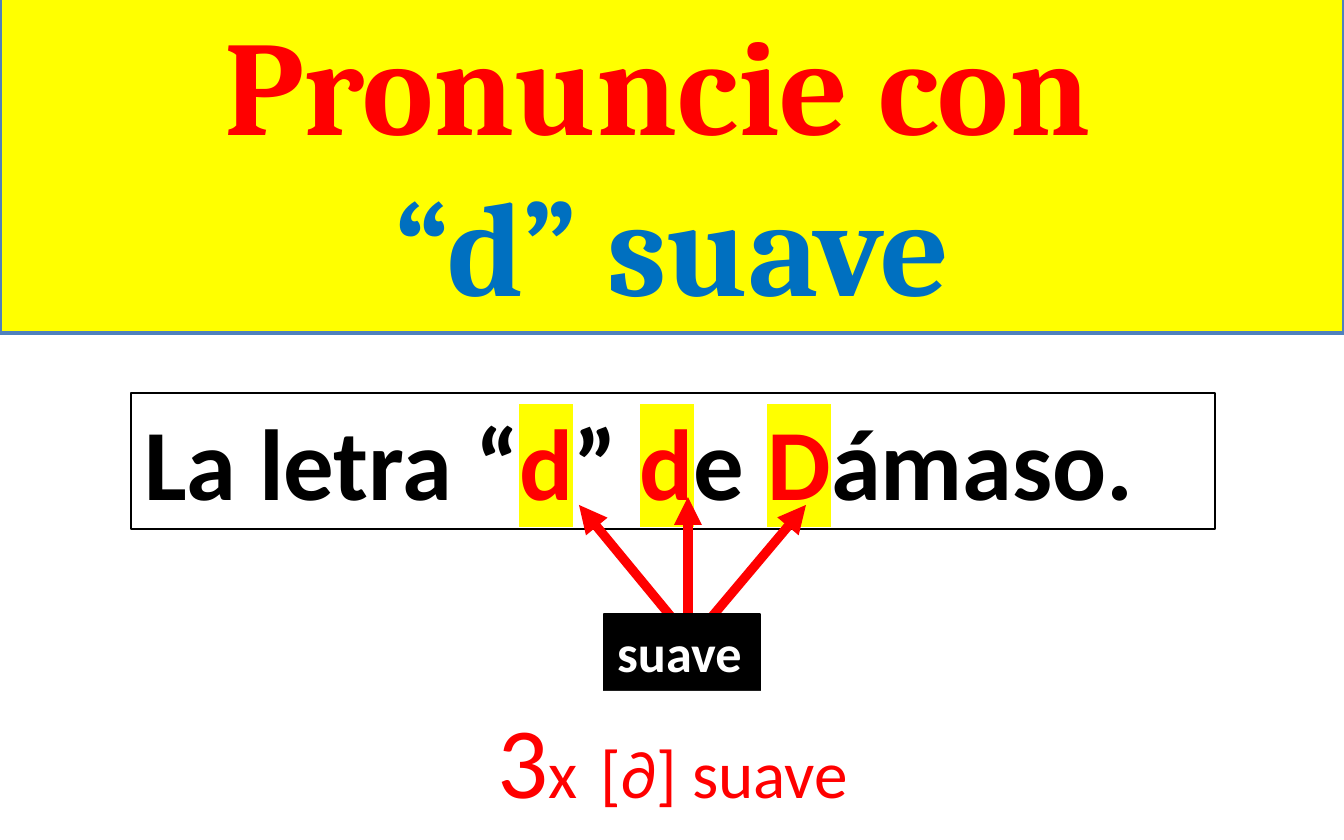
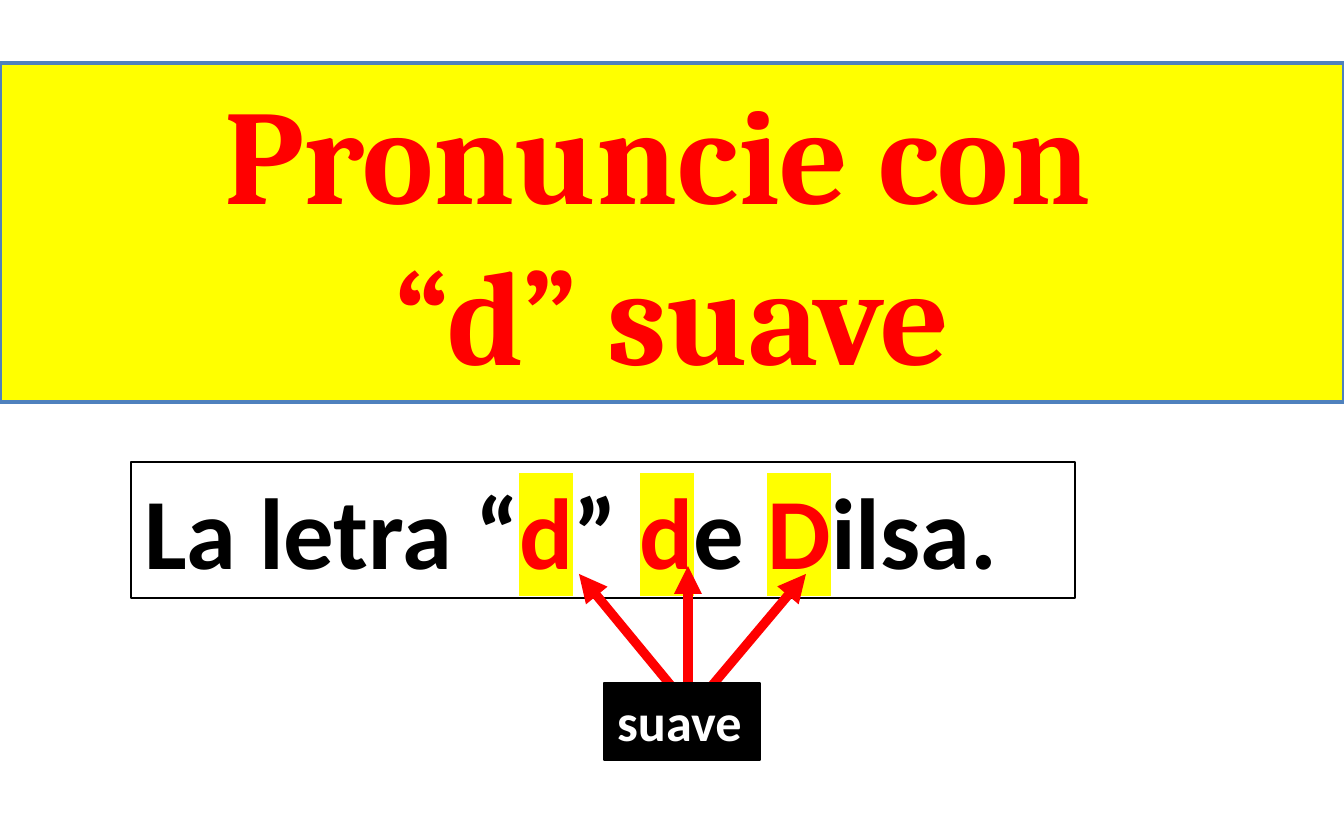
from itertools import groupby

from lxml import etree
from pptx import Presentation
from pptx import util as u
from pptx.dml.color import RGBColor
from pptx.enum import shapes, text
from pptx.oxml.ns import qn

PX = 914400 / 134.4
COLORS = {
    "yellow": "FFFF00",
    "red": "FF0000",
    "blue": "0070C0",
    "border": "4F81BD",
    "black": "000000",
    "white": "FFFFFF",
}
HEADING_FONT = "Cambria"
BODY_FONT = "Calibri"

# Arrows from the label up to each "d": x1, y1, x2, y2
ARROWS = [(673, 619, 579, 505), (688, 614, 688, 497), (710, 619, 806, 505)]


def px(n):
    return u.Emu(round(n * PX))


def rgb(name):
    return RGBColor.from_string(COLORS[name])


def add_run(p, words, size=54, color="black", font=BODY_FONT, bold=False, highlight=None):
    r = p.add_run()
    r.text = words
    r.font.size, r.font.name, r.font.bold = u.Pt(size), font, bold
    r.font.color.rgb = rgb(color)
    if highlight:
        mark = etree.Element(qn("a:highlight"))
        etree.SubElement(mark, qn("a:srgbClr"), val=COLORS[highlight])
        r.font._element.find(qn("a:solidFill")).addnext(mark)


def style_box(sp, fill=None, line=None, width=0.75):
    if fill:
        sp.fill.solid()
        sp.fill.fore_color.rgb = rgb(fill)
    if line:
        sp.line.color.rgb = rgb(line)
        sp.line.width = u.Pt(width)


def add_band(s, y, second_color):
    """Title band across the slide, in two centred lines."""
    sp = s.shapes.title
    sp.left, sp.top, sp.width, sp.height = px(0), px(y), px(1344), px(339)
    style_box(sp, "yellow", "border", 2.5)
    tf = sp.text_frame
    tf.word_wrap = True
    tf.auto_size = text.MSO_AUTO_SIZE.SHAPE_TO_FIT_TEXT
    tf.vertical_anchor = text.MSO_ANCHOR.TOP
    lines = [("Pronuncie con ", "red"), ("“d” suave", second_color)]
    for i, (words, color) in enumerate(lines):
        p = tf.add_paragraph() if i else tf.paragraphs[0]
        p.alignment = text.PP_ALIGN.CENTER
        add_run(p, words, size=72, color=color, font=HEADING_FONT, bold=True)


def add_box(s, x, y, w, h, **style):
    """Unwrapped text box; returns its paragraph."""
    sp = s.shapes.add_textbox(px(x), px(y), px(w), px(h))
    style_box(sp, **style)
    tf = sp.text_frame
    tf.word_wrap = False
    tf.auto_size = text.MSO_AUTO_SIZE.SHAPE_TO_FIT_TEXT
    return tf.paragraphs[0]


def add_sentence(s, y, w, words):
    """Framed sentence with every letter d marked."""
    p = add_box(s, 131, y, w, 136, line="black")
    for is_d, letters in groupby(words, key=lambda ch: ch in "dD"):
        mark = {"color": "red", "highlight": "yellow"} if is_d else {}
        add_run(p, "".join(letters), bold=True, **mark)


def add_arrow(s, x1, y1, x2, y2):
    c = s.shapes.add_connector(shapes.MSO_CONNECTOR.STRAIGHT, px(x1), px(y1), px(x2), px(y2))
    c.line.color.rgb = rgb("red")
    c.line.width = u.Pt(5)
    etree.SubElement(c.line._get_or_add_ln(), qn("a:tailEnd"), type="triangle")
    etree.SubElement(c._element.spPr, qn("a:effectLst"))


def add_exercise(prs, words, width, dy=0, second_color="red"):
    """One slide; dy moves the whole group down."""
    s = prs.slides.add_slide(prs.slide_layouts[5])
    add_band(s, dy - 6, second_color)
    add_sentence(s, 393 + dy, width, words)
    for x1, y1, x2, y2 in ARROWS:
        add_arrow(s, x1, y1 + dy, x2, y2 + dy)
    p = add_box(s, 604, 614 + dy, 156, 77, fill="black", line="black")
    add_run(p, "suave", size=28, color="white", bold=True)
    return s


def add_count(s):
    p = add_box(s, 484, 691, 398, 136, fill="white")
    for words, size in [("3", 54), ("x", 36), (" ", 54), ("[∂] suave", 36)]:
        add_run(p, words, size=size, color="red")


def main():
    prs = Presentation()
    prs.slide_width, prs.slide_height = px(1344), px(840)

    # Slide 1
    s = add_exercise(prs, "La letra “d” de Dámaso.", 1084, second_color="blue")
    add_count(s)

    # Slide 2
    add_exercise(prs, "La letra “d” de Dilsa.", 944, dy=69)

    prs.save("out.pptx")


if __name__ == "__main__":
    main()
